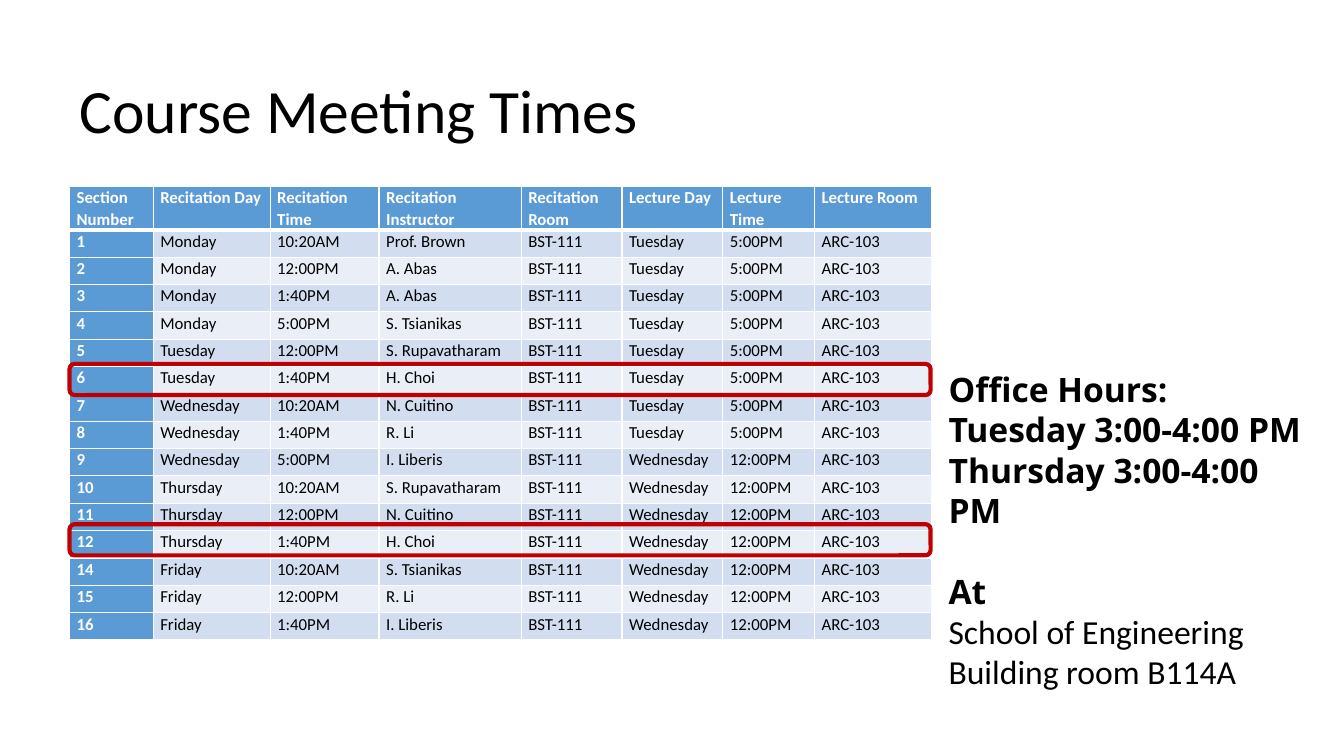
from lxml.etree import SubElement
from pptx import Presentation
from pptx.dml.color import RGBColor
from pptx.enum.shapes import MSO_SHAPE
from pptx.enum.text import MSO_ANCHOR
from pptx.oxml.ns import qn
from pptx.util import Inches, Pt

BLACK = RGBColor(0, 0, 0)
WHITE = RGBColor(255, 255, 255)
BLUE = RGBColor(0x5B, 0x9B, 0xD5)
BAND_DARK = RGBColor(0xD2, 0xDE, 0xEF)
BAND_LIGHT = RGBColor(0xEA, 0xEF, 0xF7)
RED = RGBColor(0xC0, 0, 0)

HEADINGS = ["Section Number", "Recitation Day", "Recitation Time", "Recitation Instructor",
            "Recitation Room", "Lecture Day", "Lecture Time", "Lecture Room"]
COLUMN_WIDTHS = [0.83, 1.16, 1.08, 1.41, 1, 1, 0.91, 1.16]
HEADER_HEIGHT = 0.43
TABLE_HEIGHT = 4.5

# Section, recitation day, recitation time, instructor
TUESDAY_LECTURE = [
    ("1", "Monday", "10:20AM", "Prof. Brown"),
    ("2", "Monday", "12:00PM", "A. Abas"),
    ("3", "Monday", "1:40PM", "A. Abas"),
    ("4", "Monday", "5:00PM", "S. Tsianikas"),
    ("5", "Tuesday", "12:00PM", "S. Rupavatharam"),
    ("6", "Tuesday", "1:40PM", "H. Choi"),
    ("7", "Wednesday", "10:20AM", "N. Cuitino"),
    ("8", "Wednesday", "1:40PM", "R. Li"),
]
WEDNESDAY_LECTURE = [
    ("9", "Wednesday", "5:00PM", "I. Liberis"),
    ("10", "Thursday", "10:20AM", "S. Rupavatharam"),
    ("11", "Thursday", "12:00PM", "N. Cuitino"),
    ("12", "Thursday", "1:40PM", "H. Choi"),
    ("14", "Friday", "10:20AM", "S. Tsianikas"),
    ("15", "Friday", "12:00PM", "R. Li"),
    ("16", "Friday", "1:40PM", "I. Liberis"),
]


class Page:
    def __init__(self, deck, font="Calibri"):
        self.slide = deck.slides.add_slide(deck.slide_layouts[6])
        self.font = font

    def style(self, para, size, color=BLACK, bold=False, font=None):
        for span in para.runs:
            span.font.name = font or self.font
            span.font.size = Pt(size)
            span.font.bold = bold
            span.font.color.rgb = color

    def text_box(self, left, top, width, height, texts, anchor=MSO_ANCHOR.TOP):
        box = self.slide.shapes.add_textbox(Inches(left), Inches(top), Inches(width), Inches(height))
        frame = box.text_frame
        frame.word_wrap = True
        frame.vertical_anchor = anchor
        for index, text in enumerate(texts):
            para = frame.paragraphs[0] if index == 0 else frame.add_paragraph()
            para.text = text
        return frame.paragraphs

    def border(self, cell, side, width):
        line = SubElement(cell._tc.get_or_add_tcPr(), qn(f"a:ln{side}"), w=str(Pt(width)))
        SubElement(SubElement(line, qn("a:solidFill")), qn("a:srgbClr"), val=str(WHITE))

    def cell(self, cell, text, row, column):
        heading = row == 0 or column == 0
        cell.margin_left = cell.margin_right = Inches(0.07)
        cell.margin_top = cell.margin_bottom = 0
        # The rule under the heading row is heavier
        widths = {"L": 1, "R": 1, "T": 3 if row == 1 else 1, "B": 3 if row == 0 else 1}
        for side, width in widths.items():
            self.border(cell, side, width)
        cell.fill.solid()
        cell.fill.fore_color.rgb = BLUE if heading else BAND_DARK if row % 2 else BAND_LIGHT
        cell.text_frame.text = text
        para = cell.text_frame.paragraphs[0]
        para.line_spacing = 1.07
        self.style(para, 12, WHITE if heading else BLACK, heading)

    def table(self, left, top, rows):
        table = self.slide.shapes.add_table(
            len(rows), len(COLUMN_WIDTHS), Inches(left), Inches(top),
            Inches(sum(COLUMN_WIDTHS)), Inches(TABLE_HEIGHT)).table
        table.first_col = True
        table.horz_banding = False
        for column, width in zip(table.columns, COLUMN_WIDTHS):
            column.width = Inches(width)
        body_height = (TABLE_HEIGHT - HEADER_HEIGHT) / (len(rows) - 1)
        for row, values in enumerate(rows):
            table.rows[row].height = Inches(body_height if row else HEADER_HEIGHT)
            for column, value in enumerate(values):
                self.cell(table.cell(row, column), value, row, column)

    def highlight(self, left, top, width, height):
        frame = self.slide.shapes.add_shape(
            MSO_SHAPE.ROUNDED_RECTANGLE, Inches(left), Inches(top), Inches(width), Inches(height))
        frame.shadow.inherit = False
        frame.fill.background()
        frame.line.color.rgb = RED
        frame.line.width = Pt(3)


def main():
    deck = Presentation()
    deck.slide_width, deck.slide_height = Inches(13.33), Inches(7.5)
    page = Page(deck)

    # Title
    title = page.text_box(0.69, 0.4, 8.62, 1.45, ["Course Meeting Times"], MSO_ANCHOR.MIDDLE)[0]
    title.line_spacing = 0.9
    page.style(title, 44)

    # Timetable
    rows = [HEADINGS]
    for sections, day, time in ((TUESDAY_LECTURE, "Tuesday", "5:00PM"),
                                (WEDNESDAY_LECTURE, "Wednesday", "12:00PM")):
        rows += [(*section, "BST-111", day, time, "ARC-103") for section in sections]
    page.table(0.69, 1.85, rows)

    # Highlighted sections 6 and 12
    for top in (3.61, 5.2):
        page.highlight(0.69, top, 8.54, 0.31)

    # Office hours
    hours, at, place = page.text_box(9.31, 3.61, 3.86, 3.33, [
        "Office Hours:\nTuesday 3:00-4:00 PM\nThursday 3:00-4:00 PM",
        "At",
        "School of Engineering Building room B114A",
    ])
    at.space_before = Pt(29)
    for para in (hours, at):
        page.style(para, 24, bold=True, font="Open Sans")
    page.style(place, 24)

    deck.save("out.pptx")


if __name__ == "__main__":
    main()
